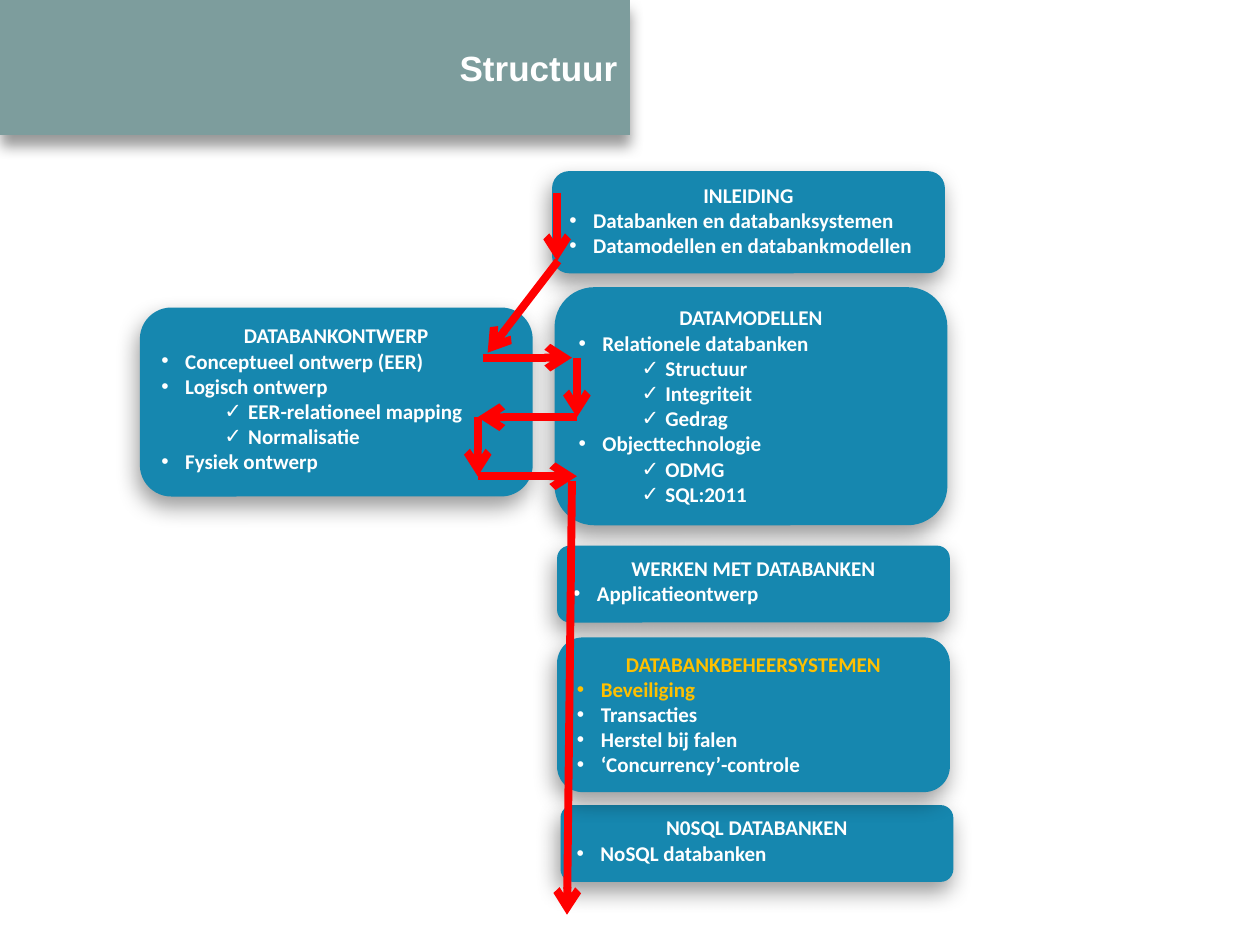
from lxml import etree
from pptx import Presentation
from pptx.dml.color import RGBColor
from pptx.enum.shapes import MSO_CONNECTOR, MSO_SHAPE
from pptx.enum.text import MSO_ANCHOR, PP_ALIGN
from pptx.oxml.ns import qn
from pptx.util import Cm, Pt

ROUNDED = MSO_SHAPE.ROUNDED_RECTANGLE
STRAIGHT = MSO_CONNECTOR.STRAIGHT
TOP, MIDDLE = MSO_ANCHOR.TOP, MSO_ANCHOR.MIDDLE
LEFT, CENTER, RIGHT = PP_ALIGN.LEFT, PP_ALIGN.CENTER, PP_ALIGN.RIGHT

COLORS = {"title": "7D9D9D", "box": "1687AF", "text": "FFFFFF",
          "current": "FFC000", "route": "FF0000", "shadow": "000000"}
TITLE_FONT = {"name": "Arial", "size": Pt(20), "bold": True}
BOX_FONT = {"name": "Calibri", "size": Pt(12), "bold": True}
BULLETS = {0: "•", 1: "✓"}
INDENTS = {0: Cm(0.48), 1: Cm(1.75)}
HANGING = Cm(0.48)
BOX_WIDTH = 7.92

BOXES = [
    (11.3, 16.23, 1.55, "N0SQL DATABANKEN", [(0, "NoSQL databanken")]),
    (11.13, 3.45, 2.06, "INLEIDING",
     [(0, "Databanken en databanksystemen"),
      (0, "Datamodellen en databankmodellen")]),
    (2.82, 6.2, 3.81, "DATABANKONTWERP",
     [(0, "Conceptueel ontwerp (EER)"), (0, "Logisch ontwerp"),
      (1, "EER-relationeel mapping"), (1, "Normalisatie"),
      (0, "Fysiek ontwerp")]),
    (11.18, 5.79, 4.8, "DATAMODELLEN",
     [(0, "Relationele databanken"), (1, "Structuur"), (1, "Integriteit"),
      (1, "Gedrag"), (0, "Objecttechnologie"), (1, "ODMG"),
      (1, "SQL:2011")]),
    (11.23, 11, 1.55, "WERKEN MET DATABANKEN", [(0, "Applicatieontwerp")]),
    (11.23, 12.85, 3.12, "DATABANKBEHEERSYSTEMEN",
     [(0, "Beveiliging"), (0, "Transacties"), (0, "Herstel bij falen"),
      (0, "‘Concurrency’-controle")]),
]
CURRENT = {"DATABANKBEHEERSYSTEMEN", "Beveiliging"}

ROUTE = [
    (11.25, 5.26, 9.83, 7.11),
    (9.73, 7.21, 11.53, 7.21),
    (11.63, 8.41, 9.63, 8.41),
    (9.63, 9.6, 11.63, 9.6),
    (11.63, 7.21, 11.63, 8.41),
    (9.63, 8.41, 9.63, 9.6),
    (11.53, 9.7, 11.43, 18.44),
    (11.23, 3.89, 11.23, 5.26),
]


def rgb(key):
    return RGBColor.from_string(COLORS[key])


def add_shadow(sp, blur, angle):
    sp.shadow.inherit = False
    effects = sp._element.spPr.find(qn("a:effectLst"))
    shadow = etree.SubElement(effects, qn("a:outerShdw"), blurRad=str(Pt(blur)),
                              dist=str(Pt(6)), dir=str(angle * 60000),
                              algn="tl", rotWithShape="0")
    color = etree.SubElement(shadow, qn("a:srgbClr"), val=COLORS["shadow"])
    etree.SubElement(color, qn("a:alpha"), val="40000")


def format_shape(sp, fill, blur, angle):
    add_shadow(sp, blur, angle)
    sp.fill.solid()
    sp.fill.fore_color.rgb = rgb(fill)
    sp.line.fill.background()


def add_text(p, text, font, color, align):
    p.alignment = align
    r = p.add_run()
    r.text = text
    for name, value in font.items():
        setattr(r.font, name, value)
    r.font.color.rgb = rgb(color)


def set_bullet(p, level):
    p.level = level
    pPr = p._p.get_or_add_pPr()
    pPr.set("marL", str(INDENTS[level]))
    pPr.set("indent", str(-HANGING))
    etree.SubElement(pPr, qn("a:buFont"), typeface="Arial")
    etree.SubElement(pPr, qn("a:buChar"), char=BULLETS[level])


def set_title(slide, text):
    sp = slide.shapes.title
    sp.left, sp.top, sp.width, sp.height = Cm(0), Cm(0), Cm(12.7), Cm(2.72)
    format_shape(sp, "title", 8, 90)
    tf = sp.text_frame
    tf.vertical_anchor = MIDDLE
    add_text(tf.paragraphs[0], text, TITLE_FONT, "text", RIGHT)


def add_box(slide, left, top, height, heading, items):
    sp = slide.shapes.add_shape(ROUNDED, Cm(left), Cm(top),
                                Cm(BOX_WIDTH), Cm(height))
    format_shape(sp, "box", 13, 106)
    tf = sp.text_frame
    tf.word_wrap = True
    tf.vertical_anchor = TOP
    color = "current" if heading in CURRENT else "text"
    add_text(tf.paragraphs[0], heading, BOX_FONT, color, CENTER)
    for level, text in items:
        p = tf.add_paragraph()
        set_bullet(p, level)
        color = "current" if text in CURRENT else "text"
        add_text(p, text, BOX_FONT, color, LEFT)


def add_arrow(slide, *ends):
    line = slide.shapes.add_connector(STRAIGHT, *map(Cm, ends))
    line.line.color.rgb = rgb("route")
    line.line.width = Pt(4.5)
    etree.SubElement(line.line._get_or_add_ln(), qn("a:tailEnd"), type="arrow")
    etree.SubElement(line._element.spPr, qn("a:effectLst"))


def main():
    prs = Presentation()
    prs.slide_width, prs.slide_height = Cm(25.4), Cm(19.05)
    slide = prs.slides.add_slide(prs.slide_layouts[5])
    set_title(slide, "Structuur")
    for box in BOXES:
        add_box(slide, *box)
    for ends in ROUTE:
        add_arrow(slide, *ends)
    prs.save("out.pptx")


if __name__ == "__main__":
    main()
